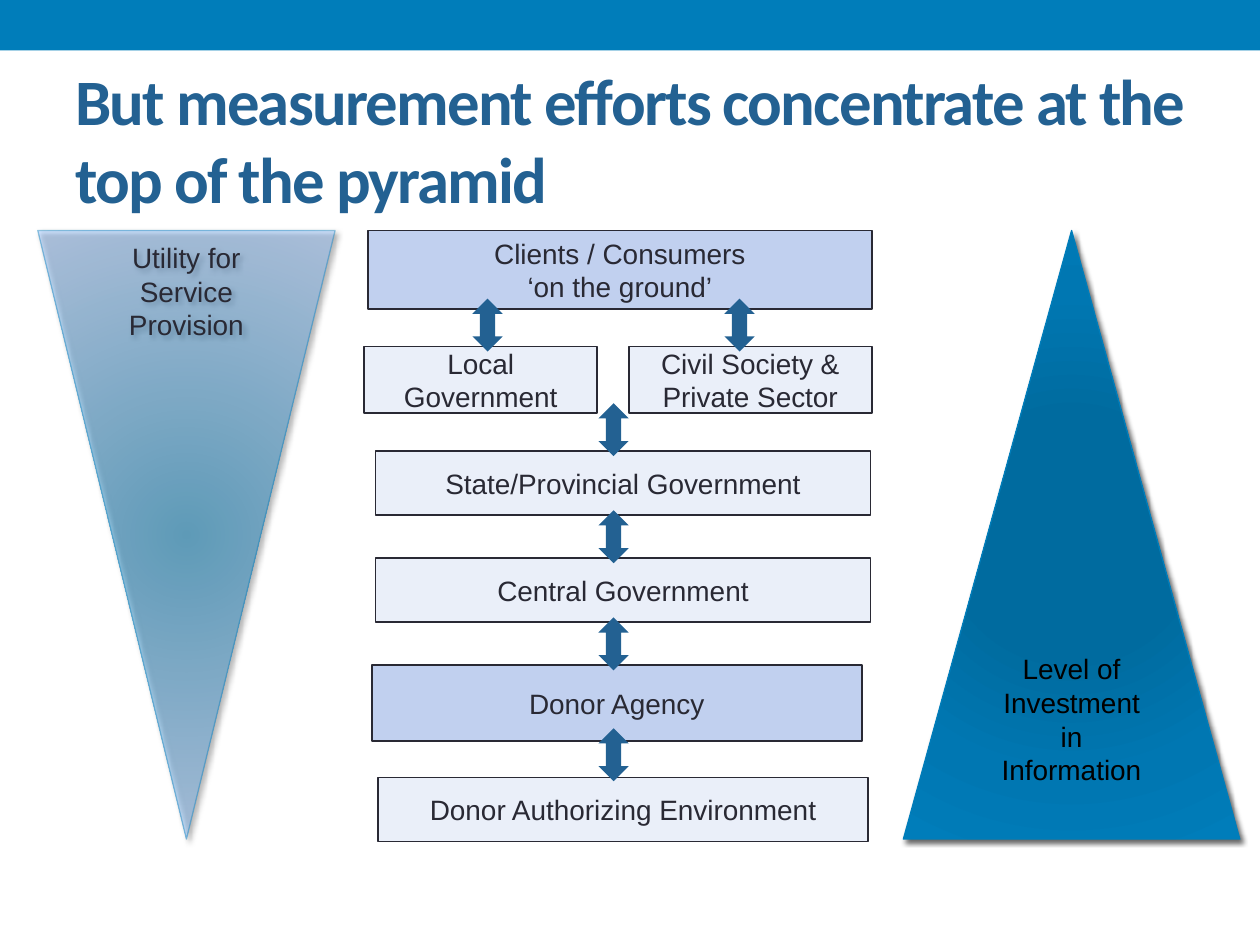
from typing import NamedTuple

from lxml import etree
from pptx import Presentation
from pptx.dml.color import RGBColor
from pptx.enum.shapes import MSO_SHAPE
from pptx.enum.text import MSO_ANCHOR, PP_ALIGN
from pptx.oxml import parse_xml
from pptx.oxml.ns import nsdecls, qn
from pptx.util import Inches, Pt

RECT, ARROW = MSO_SHAPE.RECTANGLE, MSO_SHAPE.UP_DOWN_ARROW
MERGE, EXTRACT = MSO_SHAPE.FLOWCHART_MERGE, MSO_SHAPE.FLOWCHART_EXTRACT
TOP, MIDDLE = MSO_ANCHOR.TOP, MSO_ANCHOR.MIDDLE
LEFT, CENTER = PP_ALIGN.LEFT, PP_ALIGN.CENTER

BAND_BLUE = RGBColor(0x00, 0x7D, 0xBA)
DEEP_BLUE = RGBColor(0x00, 0x6B, 0x9F)
MID_BLUE = RGBColor(0x00, 0x77, 0xB2)
EDGE_BLUE = RGBColor(0x00, 0x7A, 0xB6)
PALE_BLUE = RGBColor(0x9E, 0xC7, 0xFF)
LEVEL_BLUE = RGBColor(0x33, 0x66, 0xCC)
TITLE_BLUE = RGBColor(0x23, 0x61, 0x92)
INK = RGBColor(0x29, 0x29, 0x34)
BLACK = RGBColor(0, 0, 0)

SLIDE_W, SLIDE_H = 10, 7.5
PYRAMID_TOP, PYRAMID_H = 1.83, 4.83
ARROW_W, ARROW_H = 0.24, 0.42
CENTRE_X, BRANCH = 4.87, 1.0

BODY_FONT = {"name": "Arial", "size": Pt(16)}
TITLE_FONT = {"name": "Calibri", "size": Pt(37), "bold": True}


class Level(NamedTuple):
    """One box in the chain of service levels."""
    text: str
    left: float
    top: float
    width: float
    height: float
    opacity: int = 10


class Stop(NamedTuple):
    """One gradient stop, in percent."""
    position: int
    color: RGBColor
    opacity: int = 100


class Pyramid(NamedTuple):
    """A triangle showing how a quantity varies along the chain."""
    text: str
    kind: int
    left: float
    width: float
    text_inset: float
    ink: RGBColor
    edge: RGBColor
    edge_opacity: int
    stops: tuple


LEVELS = (
    Level("Clients / Consumers\n‘on the ground’", 2.92, 1.83, 4, 0.62, 30),
    Level("Local\nGovernment", 2.89, 2.75, 1.85, 0.53),
    Level("Civil Society &\nPrivate Sector", 4.99, 2.75, 1.93, 0.53),
    Level("State/Provincial Government", 2.98, 3.58, 3.93, 0.51),
    Level("Central Government", 2.98, 4.43, 3.93, 0.51),
    Level("Donor Agency", 2.95, 5.28, 3.89, 0.6, 30),
    Level("Donor Authorizing Environment", 3, 6.17, 3.89, 0.51),
)
PYRAMIDS = (
    Pyramid("Utility for Service Provision", MERGE, 0.3, 2.36, 0.08, INK, EDGE_BLUE, 38,
            (Stop(0, BAND_BLUE, 48), Stop(100, PALE_BLUE, 48))),
    Pyramid("Level of Investment in Information", EXTRACT, 7.17, 2.67, 0.93, BLACK,
            BAND_BLUE, 100,
            (Stop(0, DEEP_BLUE), Stop(34, DEEP_BLUE), Stop(70, MID_BLUE),
             Stop(100, BAND_BLUE))),
)
LINK_CENTRES = (
    (CENTRE_X - BRANCH, 2.58), (CENTRE_X + BRANCH, 2.58),
    (CENTRE_X, 3.41), (CENTRE_X, 4.26), (CENTRE_X, 5.11), (CENTRE_X, 5.99),
)


def add_block(slide, kind, left, top, width, height, fill=None):
    """Add a flat shape without outline, filled if a colour is given."""
    block = slide.shapes.add_shape(
        kind, Inches(left), Inches(top), Inches(width), Inches(height))
    block.shadow.inherit = False
    block.line.fill.background()
    if fill is not None:
        block.fill.solid()
        block.fill.fore_color.rgb = fill
    return block


def set_opacity(fill_owner, percent: int) -> None:
    """Make the solid colour inside an element partly transparent."""
    color = fill_owner.find(qn("a:solidFill")).find(qn("a:srgbClr"))
    etree.SubElement(color, qn("a:alpha"), val=str(percent * 1000))


def set_line(shape, color: RGBColor, points: float) -> None:
    """Outline a shape."""
    shape.line.color.rgb = color
    shape.line.width = Pt(points)


def write(shape, text: str, font: dict, color: RGBColor, align, **frame_format) -> None:
    """Fill a shape with text, one paragraph a line."""
    frame = shape.text_frame
    for name, value in frame_format.items():
        setattr(frame, name, value)
    frame.text = text
    for paragraph in frame.paragraphs:
        paragraph.alignment = align
        for run in paragraph.runs:
            for name, value in font.items():
                setattr(run.font, name, value)
            run.font.color.rgb = color


def draw_level(slide, level: Level) -> None:
    """Draw one level box."""
    box = add_block(slide, RECT, *level[1:5], fill=LEVEL_BLUE)
    set_opacity(box._element.spPr, level.opacity)
    set_line(box, INK, 1)
    write(box, level.text, BODY_FONT, INK, CENTER,
          word_wrap=False, vertical_anchor=MIDDLE)


def draw_pyramid(slide, pyramid: Pyramid) -> None:
    """Draw a triangle with a radial gradient and a soft shadow."""
    triangle = add_block(slide, pyramid.kind, pyramid.left, PYRAMID_TOP,
                         pyramid.width, PYRAMID_H)
    set_line(triangle, pyramid.edge, 0.75)
    properties = triangle._element.spPr
    set_opacity(properties.find(qn("a:ln")), pyramid.edge_opacity)
    stops = "".join(
        f'<a:gs pos="{stop.position * 1000}"><a:srgbClr val="{stop.color}">'
        f'<a:alpha val="{stop.opacity * 1000}"/></a:srgbClr></a:gs>'
        for stop in pyramid.stops)
    properties.find(qn("a:prstGeom")).addnext(parse_xml(
        f'<a:gradFill {nsdecls("a")} rotWithShape="1"><a:gsLst>{stops}</a:gsLst>'
        '<a:path path="circle"><a:fillToRect l="50000" t="50000" r="50000" b="50000"/>'
        '</a:path></a:gradFill>'))
    properties.find(qn("a:effectLst")).append(parse_xml(
        f'<a:outerShdw {nsdecls("a")} blurRad="{Pt(3)}" dist="{Pt(2)}" dir="2700000" '
        'rotWithShape="0"><a:srgbClr val="000000"><a:alpha val="60000"/></a:srgbClr>'
        '</a:outerShdw>'))
    write(triangle, pyramid.text, BODY_FONT, pyramid.ink, CENTER, word_wrap=True,
          vertical_anchor=TOP, margin_top=Inches(pyramid.text_inset))


def draw_link(slide, x: float, y: float) -> None:
    """Draw a two-way arrow centred on a point."""
    arrow = add_block(slide, ARROW, x - ARROW_W / 2, y - ARROW_H / 2,
                      ARROW_W, ARROW_H, TITLE_BLUE)
    arrow.adjustments[0], arrow.adjustments[1] = 0.6, 0.5


def draw_title(slide, text: str) -> None:
    """Write the tightly spaced title."""
    title = slide.shapes.add_textbox(Inches(0.5), Inches(0.5), Inches(9), Inches(1.2))
    write(title, text, TITLE_FONT, TITLE_BLUE, LEFT,
          word_wrap=True, vertical_anchor=MIDDLE)
    for run in title.text_frame.paragraphs[0].runs:
        run.font._element.set("spc", "-100")


def main() -> None:
    """Build and save the slide."""
    deck = Presentation()
    deck.slide_width, deck.slide_height = Inches(SLIDE_W), Inches(SLIDE_H)
    slide = deck.slides.add_slide(deck.slide_layouts[6])
    add_block(slide, RECT, 0, 0, SLIDE_W, 0.4, BAND_BLUE)
    for level in LEVELS:
        draw_level(slide, level)
    for pyramid in PYRAMIDS:
        draw_pyramid(slide, pyramid)
    draw_title(slide, "But measurement efforts concentrate at the top of the pyramid")
    for x, y in LINK_CENTRES:
        draw_link(slide, x, y)
    deck.save("out.pptx")


main()
